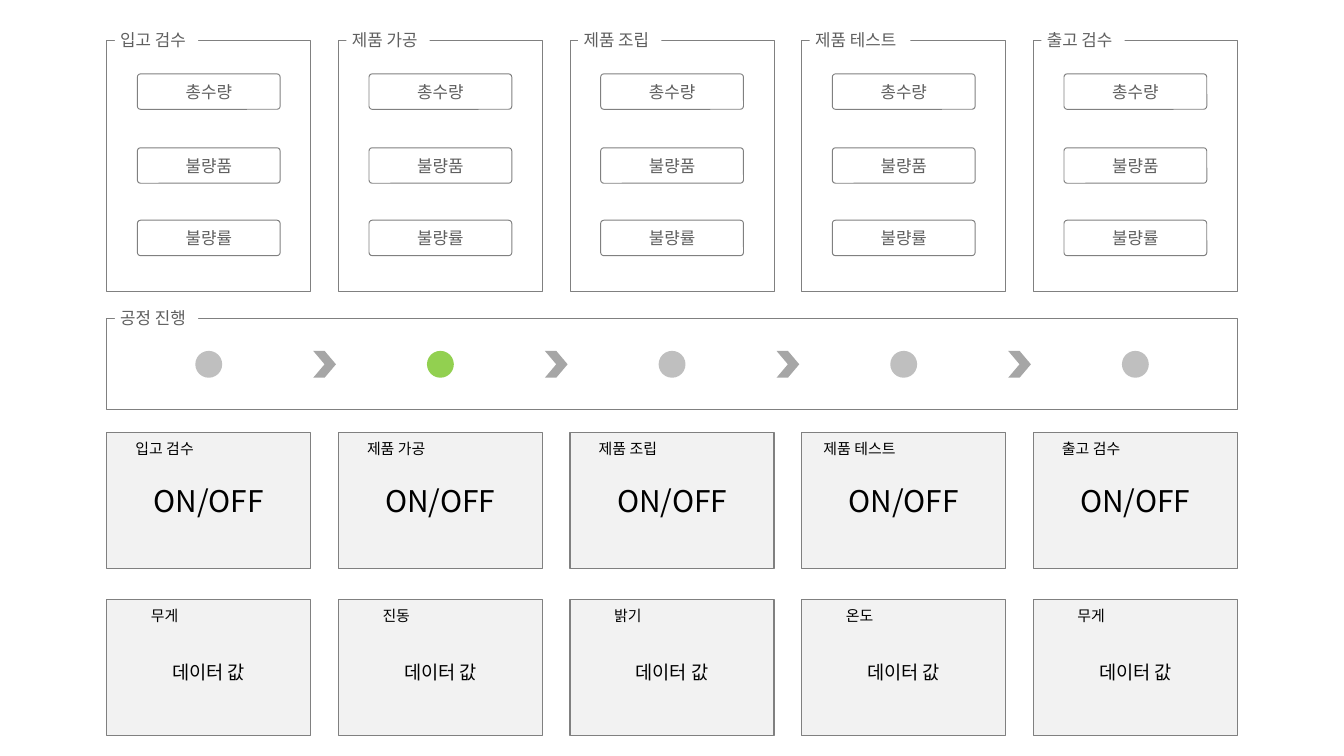
from dataclasses import dataclass
from typing import Optional

from lxml.etree import SubElement
from pptx import Presentation
from pptx.dml.color import RGBColor
from pptx.enum.shapes import MSO_SHAPE
from pptx.enum.text import MSO_ANCHOR, PP_ALIGN
from pptx.oxml.ns import qn
from pptx.shapes.autoshape import Shape
from pptx.slide import Slide
from pptx.util import Pt


@dataclass(frozen=True)
class Theme:
    white: str = "FFFFFF"
    outline: str = "808080"
    grey_text: str = "5F5F5F"
    black: str = "000000"
    card: str = "F2F2F2"
    idle: str = "BFBFBF"
    active: str = "92D050"
    arrow: str = "A6A6A6"
    thin: float = 0.5
    thick: float = 0.8
    font: str = "Cabin"
    card_font: str = "Noto Sans CJK KR"
    label_size: float = 9
    card_label_size: float = 8
    value_size: float = 10
    switch_size: float = 16


@dataclass(frozen=True)
class Box:
    x: float
    y: float
    w: float
    h: float


@dataclass(frozen=True)
class Stage:
    name: str
    sensor: str
    tag_width: float = 44.6
    color: str = Theme.idle


T = Theme()
STAGES = [
    Stage("입고 검수", "무게"),
    Stage("제품 가공", "진동", color=T.active),
    Stage("제품 조립", "밝기"),
    Stage("제품 테스트", "온도", tag_width=54),
    Stage("출고 검수", "무게"),
]
COUNTERS = {"총수량": 39.6, "불량품": 79.2, "불량률": 118}

LEFT, PITCH, COL_W = 57.2, 124.1, 109.3
TOTAL_W = PITCH * (len(STAGES) - 1) + COL_W
PANEL_Y, PANEL_H = 21.7, 134.6
PROCESS_Y, PROCESS_H = 170.6, 48.7
MARK_Y, MARK_SIZE, ARROW_W = 188, 14.4, 12.2
SWITCH_Y, SENSOR_Y, CARD_H = 231.8, 321.2, 72.8
INNER_W = 76.5


def add_box(s: Slide, kind: MSO_SHAPE, box: Box, fill: Optional[str] = None,
            line_width: float = 0) -> Shape:
    sp = s.shapes.add_shape(kind, Pt(box.x), Pt(box.y), Pt(box.w), Pt(box.h))
    sp.shadow.inherit = False
    if fill:
        sp.fill.solid()
        sp.fill.fore_color.rgb = RGBColor.from_string(fill)
    else:
        sp.fill.background()
    if line_width:
        sp.line.color.rgb = RGBColor.from_string(T.outline)
        sp.line.width = Pt(line_width)
    else:
        sp.line.fill.background()
    if kind == MSO_SHAPE.ROUNDED_RECTANGLE:
        sp.adjustments[0] = 0.09
    return sp


def write(sp: Shape, text: str, size: float, font: str, color: str,
          align: PP_ALIGN = PP_ALIGN.CENTER) -> None:
    tf = sp.text_frame
    tf.text = text
    tf.word_wrap = True
    tf.vertical_anchor = MSO_ANCHOR.MIDDLE
    p = tf.paragraphs[0]
    p.alignment = align
    r = p.runs[0]
    r.font.size = Pt(size)
    r.font.name = font
    r.font.color.rgb = RGBColor.from_string(color)
    SubElement(r.font._element, qn("a:ea"), typeface=font)


def add_text(s: Slide, box: Box, text: str, size: float) -> None:
    sp = s.shapes.add_textbox(Pt(box.x), Pt(box.y), Pt(box.w), Pt(box.h))
    write(sp, text, size, T.card_font, T.black)


def add_titled_frame(s: Slide, box: Box, title: str, tag_width: float) -> None:
    """Draw a frame whose title interrupts its top edge."""
    add_box(s, MSO_SHAPE.RECTANGLE, box, T.white, T.thin)
    tag = add_box(s, MSO_SHAPE.RECTANGLE,
                  Box(box.x + 4.3, box.y - 6.2, tag_width, 12.2), T.white)
    tf = tag.text_frame
    tf.margin_left = tf.margin_right = Pt(2.9)
    tf.margin_top = tf.margin_bottom = Pt(0.7)
    write(tag, title, T.label_size, T.font, T.grey_text, PP_ALIGN.LEFT)


def add_card(s: Slide, x: float, y: float, label: str) -> None:
    add_box(s, MSO_SHAPE.RECTANGLE, Box(x, y, COL_W, CARD_H), T.card, T.thick)
    add_text(s, Box(x, y, 62, 17.3), label, T.card_label_size)


def add_stage(s: Slide, x: float, stage: Stage) -> None:
    """Draw one column: counters, progress dot, switch card and sensor card."""
    inner_x = x + (COL_W - INNER_W) / 2
    add_titled_frame(s, Box(x, PANEL_Y, COL_W, PANEL_H), stage.name, stage.tag_width)
    for text, y in COUNTERS.items():
        button = add_box(s, MSO_SHAPE.ROUNDED_RECTANGLE,
                         Box(inner_x, y, INNER_W, 19), T.white, T.thin)
        write(button, text, T.label_size, T.font, T.grey_text)

    dot_x = x + (COL_W - MARK_SIZE) / 2
    add_box(s, MSO_SHAPE.OVAL, Box(dot_x, MARK_Y, MARK_SIZE, MARK_SIZE), stage.color)

    add_card(s, x, SWITCH_Y, stage.name)
    add_text(s, Box(inner_x, SWITCH_Y + 23.2, INNER_W, 26), "ON/OFF", T.switch_size)

    add_card(s, x, SENSOR_Y, stage.sensor)
    value = add_box(s, MSO_SHAPE.ROUNDED_RECTANGLE,
                    Box(inner_x, SENSOR_Y + 28.8, INNER_W, 20))
    write(value, "데이터 값", T.value_size, T.font, T.black)


def main() -> None:
    prs = Presentation()
    prs.slide_width, prs.slide_height = Pt(720), Pt(405)
    s = prs.slides.add_slide(prs.slide_layouts[6])

    add_titled_frame(s, Box(LEFT, PROCESS_Y, TOTAL_W, PROCESS_H), "공정 진행", 44.6)
    for i, stage in enumerate(STAGES):
        x = LEFT + i * PITCH
        add_stage(s, x, stage)
        if i < len(STAGES) - 1:
            arrow_x = x + (COL_W + PITCH - ARROW_W) / 2
            add_box(s, MSO_SHAPE.CHEVRON, Box(arrow_x, MARK_Y, ARROW_W, MARK_SIZE), T.arrow)

    prs.save("out.pptx")


if __name__ == "__main__":
    main()
